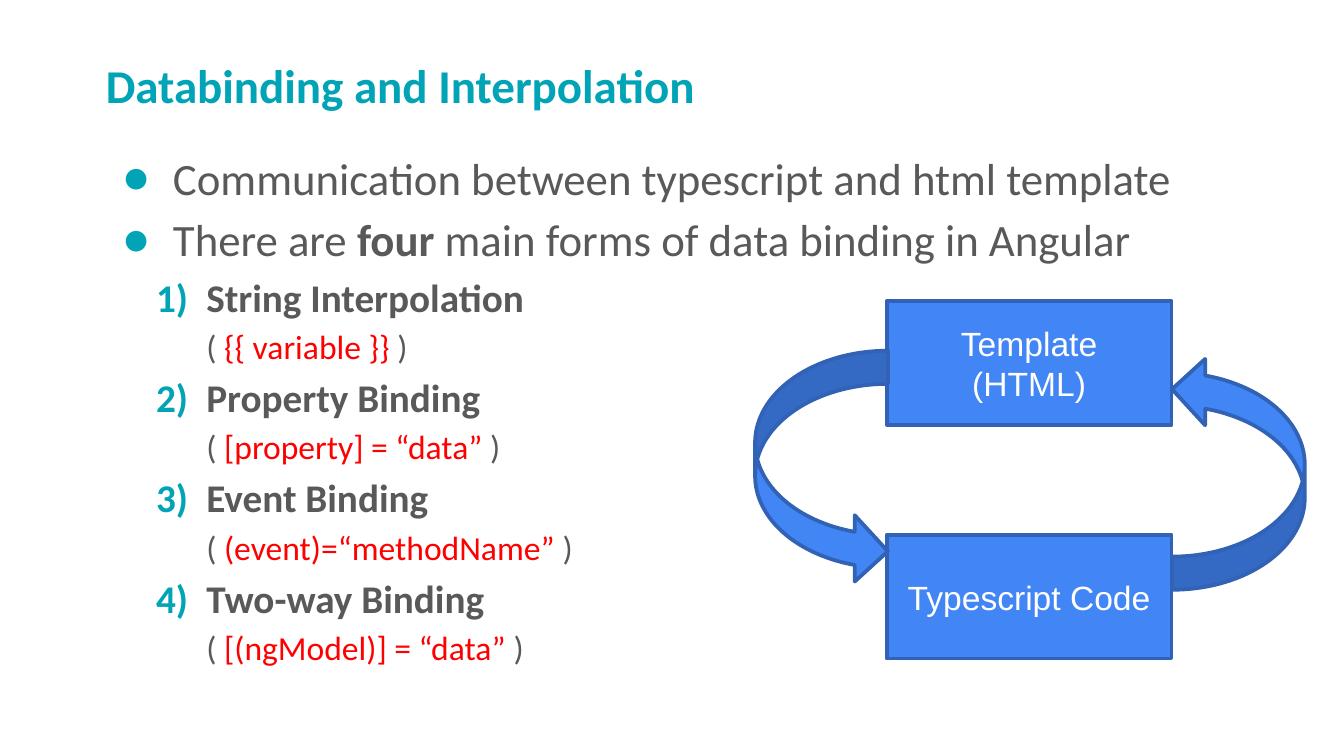
from dataclasses import dataclass

from lxml.etree import SubElement
from pptx import Presentation
from pptx.dml.color import RGBColor
from pptx.enum.shapes import MSO_SHAPE as Preset
from pptx.enum.text import MSO_ANCHOR as Anchor, PP_ALIGN as Align
from pptx.oxml.ns import qn
from pptx.util import Cm, Pt

TEAL, GREY, RED, WHITE = "00A4B6", "595959", "FF0000", "FFFFFF"
BLUE, NAVY = "4285F4", "3162B5"
INSET = 0.25


@dataclass(frozen=True)
class Area:
    left: float
    top: float
    width: float
    height: float

    def lengths(self) -> list:
        return [Cm(v) for v in (self.left, self.top, self.width, self.height)]


@dataclass(frozen=True)
class Piece:
    text: str
    color: str = GREY
    bold: bool = False


@dataclass(frozen=True)
class Binding:
    name: str
    code: str


@dataclass(frozen=True)
class Arrow:
    area: Area
    rotation: int


TOPICS = [
    [Piece("Communication between typescript and html template")],
    [Piece("There are "), Piece("four", bold=True),
     Piece(" main forms of data binding in Angular")],
]
BINDINGS = [
    Binding("String Interpolation", "{{ variable }}"),
    Binding("Property Binding", "[property] = “data”"),
    Binding("Event Binding", "(event)=“methodName”"),
    Binding("Two-way Binding", "[(ngModel)] = “data”"),
]
ENDPOINTS = ["Template (HTML)", "Typescript Code"]
ARROWS = [
    Arrow(Area(22.15, 6.73, 2.51, 4.42), 0),
    Arrow(Area(14.27, 6.63, 2.51, 4.42), 180),
]


def paint(color_format, value: str) -> None:
    color_format.rgb = RGBColor.from_string(value)


def style(run, size: float, color: str, bold: bool = False, face: str = "Calibri") -> None:
    run.font.name = face
    run.font.size = Pt(size)
    run.font.bold = bold
    paint(run.font.color, color)


def add_text_area(slide, area: Area, anchor: Anchor):
    frame = slide.shapes.add_textbox(*area.lengths()).text_frame
    frame.word_wrap = True
    frame.vertical_anchor = anchor
    frame.margin_left = frame.margin_right = Cm(INSET)
    frame.margin_top = frame.margin_bottom = Cm(INSET)
    return frame


def write_line(paragraph, pieces: list[Piece], size: float, level: int,
               indent: float, hanging: float = 0, marker: str = "buNone", **attributes: str) -> None:
    properties = paragraph._p.get_or_add_pPr()
    properties.set("marL", str(Cm(indent)))
    properties.set("indent", str(-Cm(hanging)))
    if marker != "buNone":
        SubElement(SubElement(properties, qn("a:buClr")), qn("a:srgbClr"), val=TEAL)
        SubElement(properties, qn("a:buFont"), typeface="Calibri")
    SubElement(properties, qn(f"a:{marker}"), **attributes)
    paragraph.level = level
    paragraph.line_spacing = 1.15
    for piece in pieces:
        run = paragraph.add_run()
        run.text = piece.text
        style(run, size, piece.color, piece.bold)


def write_body(frame) -> None:
    paragraph = frame.paragraphs[0]
    for pieces in TOPICS:
        write_line(paragraph, pieces, 24, 0, 1.27, 0.95, "buChar", char="●")
        paragraph = frame.add_paragraph()
    for number, binding in enumerate(BINDINGS, 1):
        if number > 1:
            paragraph = frame.add_paragraph()
        write_line(paragraph, [Piece(binding.name, bold=True)], 21, 1, 1.9, 0.95,
                   "buAutoNum", type="arabicParenR", startAt=str(number))
        syntax = [Piece("( "), Piece(binding.code, RED), Piece(" )")]
        write_line(frame.add_paragraph(), syntax, 18, 2, 1.9)


def add_block(slide, preset: Preset, area: Area):
    block = slide.shapes.add_shape(preset, *area.lengths())
    block.shadow.inherit = False
    block.fill.solid()
    paint(block.fill.fore_color, BLUE)
    paint(block.line.color, NAVY)
    block.line.width = Pt(2)
    return block


def add_endpoint(slide, label: str, area: Area) -> None:
    frame = add_block(slide, Preset.RECTANGLE, area).text_frame
    frame.text = label
    frame.word_wrap = True
    frame.vertical_anchor = Anchor.MIDDLE
    frame.margin_left = frame.margin_right = Cm(0.3)
    frame.paragraphs[0].alignment = Align.CENTER
    style(frame.paragraphs[0].runs[0], 18, WHITE, face="Arial")


def add_arrow(slide, arrow: Arrow) -> None:
    block = add_block(slide, Preset.CURVED_LEFT_ARROW, arrow.area)
    block.rotation = arrow.rotation
    block._element.spPr.find(qn("a:xfrm")).set("flipV", "1")


def main() -> None:
    deck = Presentation()
    deck.slide_width, deck.slide_height = Cm(25.4), Cm(14.29)
    slide = deck.slides.add_slide(deck.slide_layouts[6])
    slide.background.fill.solid()
    paint(slide.background.fill.fore_color, WHITE)

    title = add_text_area(slide, Area(1.75, 0.76, 21.9, 1.68), Anchor.MIDDLE)
    title.text = "Databinding and Interpolation"
    style(title.paragraphs[0].runs[0], 25.2, TEAL, bold=True)

    write_body(add_text_area(slide, Area(1.75, 2.44, 21.9, 11.46), Anchor.TOP))

    for row, label in enumerate(ENDPOINTS):
        add_endpoint(slide, label, Area(16.76, 5.69 + row * 4.42, 5.38, 2.34))
    for arrow in ARROWS:
        add_arrow(slide, arrow)

    deck.save("out.pptx")


if __name__ == "__main__":
    main()
